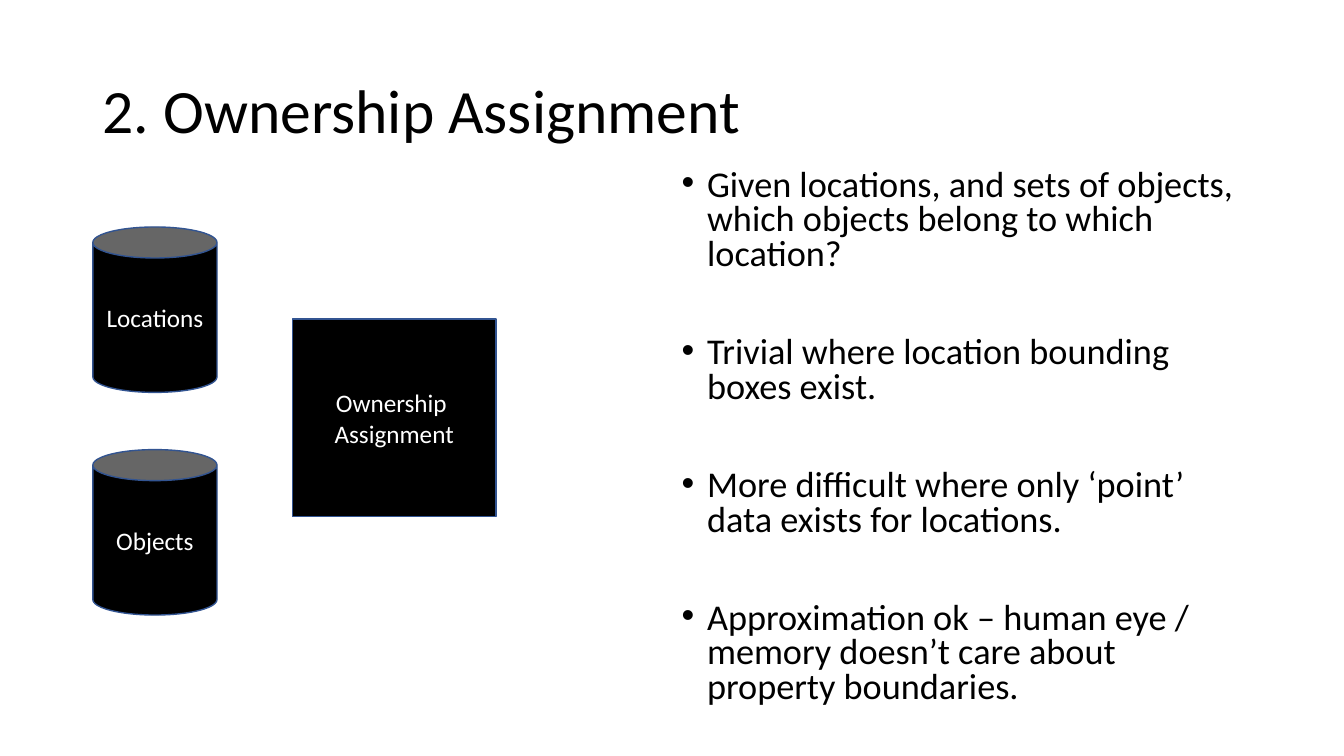
from lxml.etree import SubElement
from pptx import Presentation
from pptx.dml.color import RGBColor
from pptx.enum.shapes import MSO_SHAPE as Shape
from pptx.enum.text import MSO_ANCHOR as Anchor, PP_ALIGN as Align
from pptx.oxml.ns import qn
from pptx.util import Cm, Pt

BLACK, WHITE, OUTLINE = "000000", "FFFFFF", "325491"
QUESTIONS = [
    "Given locations, and sets of objects, which objects belong to which location?",
    "Trivial where location bounding boxes exist.",
    "More difficult where only ‘point’ data exists for locations.",
    "Approximation ok – human eye / memory doesn’t care about property boundaries.",
]


def color(hex_value):
    return RGBColor.from_string(hex_value)


def set_all(target, values):
    for name, value in values.items():
        setattr(target, name, value)


def write(paragraph, text, size, hex_value, **layout):
    """Fill a paragraph; layout holds its spacing and alignment."""
    paragraph.text = text
    set_all(paragraph, layout)
    for run in paragraph.runs:
        set_all(run.font, {"name": "Calibri", "size": Pt(size)})
        run.font.color.rgb = color(hex_value)


def add_bullet(paragraph):
    properties = paragraph._p.get_or_add_pPr()
    properties.set("marL", str(Cm(0.64)))
    properties.set("indent", str(-Cm(0.64)))
    SubElement(properties, qn("a:buFont"), typeface="Arial")
    SubElement(properties, qn("a:buChar"), char="•")


def add_text_frame(slide, left, top, width, height, anchor):
    box = slide.shapes.add_textbox(Cm(left), Cm(top), Cm(width), Cm(height))
    set_all(box.text_frame, {"word_wrap": True, "vertical_anchor": anchor})
    return box.text_frame


def add_title(slide, text):
    frame = add_text_frame(slide, 2.34, 1.02, 29.21, 3.68, Anchor.MIDDLE)
    write(frame.paragraphs[0], text, 44, BLACK, line_spacing=0.9)


def add_bullet_list(slide, items):
    frame = add_text_frame(slide, 16.93, 4.14, 14.6, 13.9, Anchor.TOP)
    for index, item in enumerate(items):
        paragraph = frame.add_paragraph() if index else frame.paragraphs[0]
        add_bullet(paragraph)
        write(paragraph, item, 25.9, BLACK, line_spacing=0.8,
              space_before=Pt(45 if index else 0))


def add_node(slide, kind, label, left, top, width, height):
    shape = slide.shapes.add_shape(kind, Cm(left), Cm(top), Cm(width), Cm(height))
    shape.shadow.inherit = False
    shape.fill.solid()
    shape.fill.fore_color.rgb = color(BLACK)
    shape.line.color.rgb = color(OUTLINE)
    shape.line.width = Pt(1)
    set_all(shape.text_frame, {"word_wrap": True, "vertical_anchor": Anchor.MIDDLE})
    write(shape.text_frame.paragraphs[0], label, 18, WHITE, alignment=Align.CENTER)


def main():
    presentation = Presentation()
    set_all(presentation, {"slide_width": Cm(33.87), "slide_height": Cm(19.05)})
    slide = presentation.slides.add_slide(presentation.slide_layouts[6])
    add_title(slide, "2. Ownership Assignment")
    add_bullet_list(slide, QUESTIONS)
    add_node(slide, Shape.RECTANGLE, "Ownership \vAssignment", 7.37, 8.04, 5.13, 4.98)
    for label, top in (("Locations", 5.72), ("Objects", 11.33)):
        add_node(slide, Shape.CAN, label, 2.34, top, 3.13, 4.17)
    presentation.save("out.pptx")


if __name__ == "__main__":
    main()
